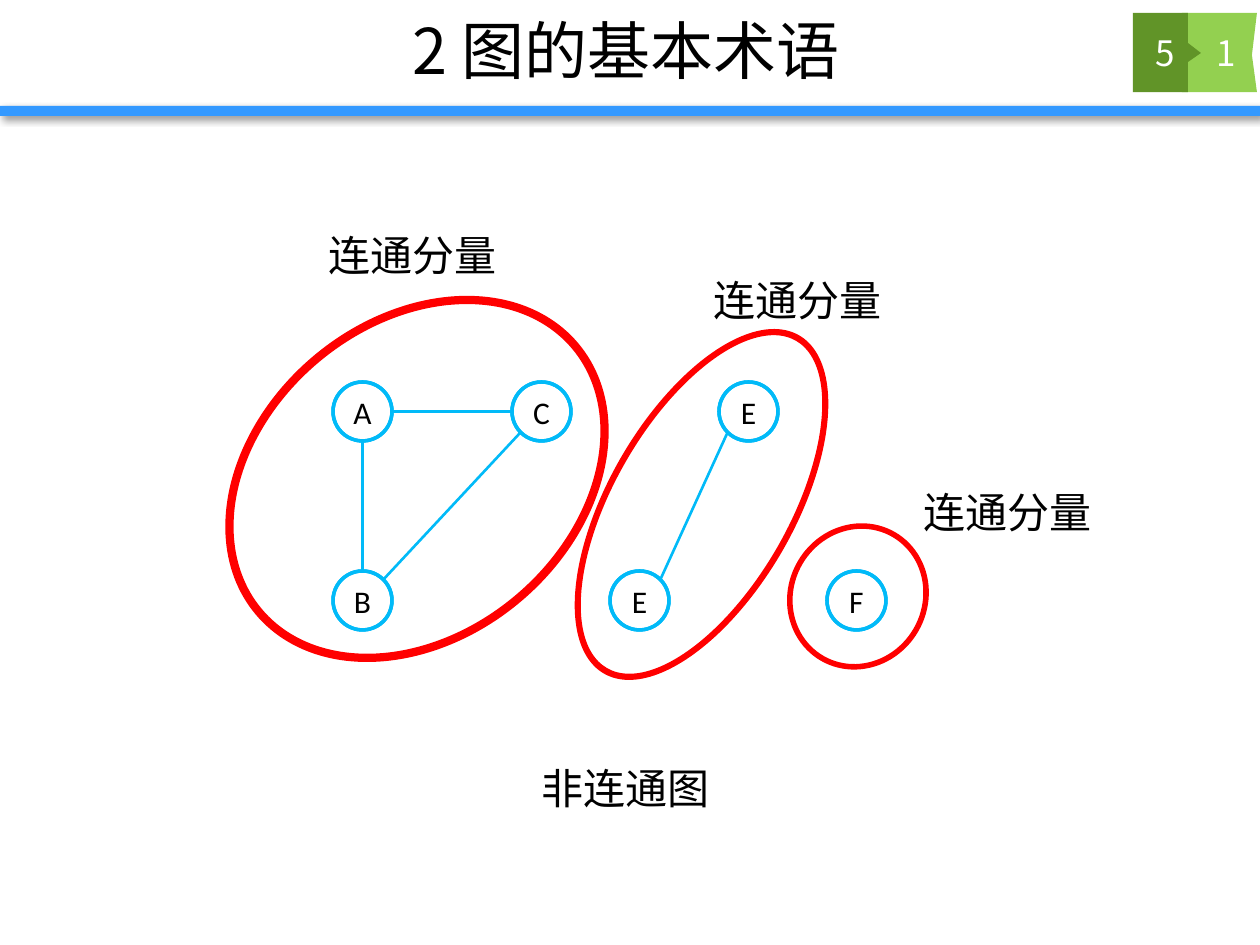
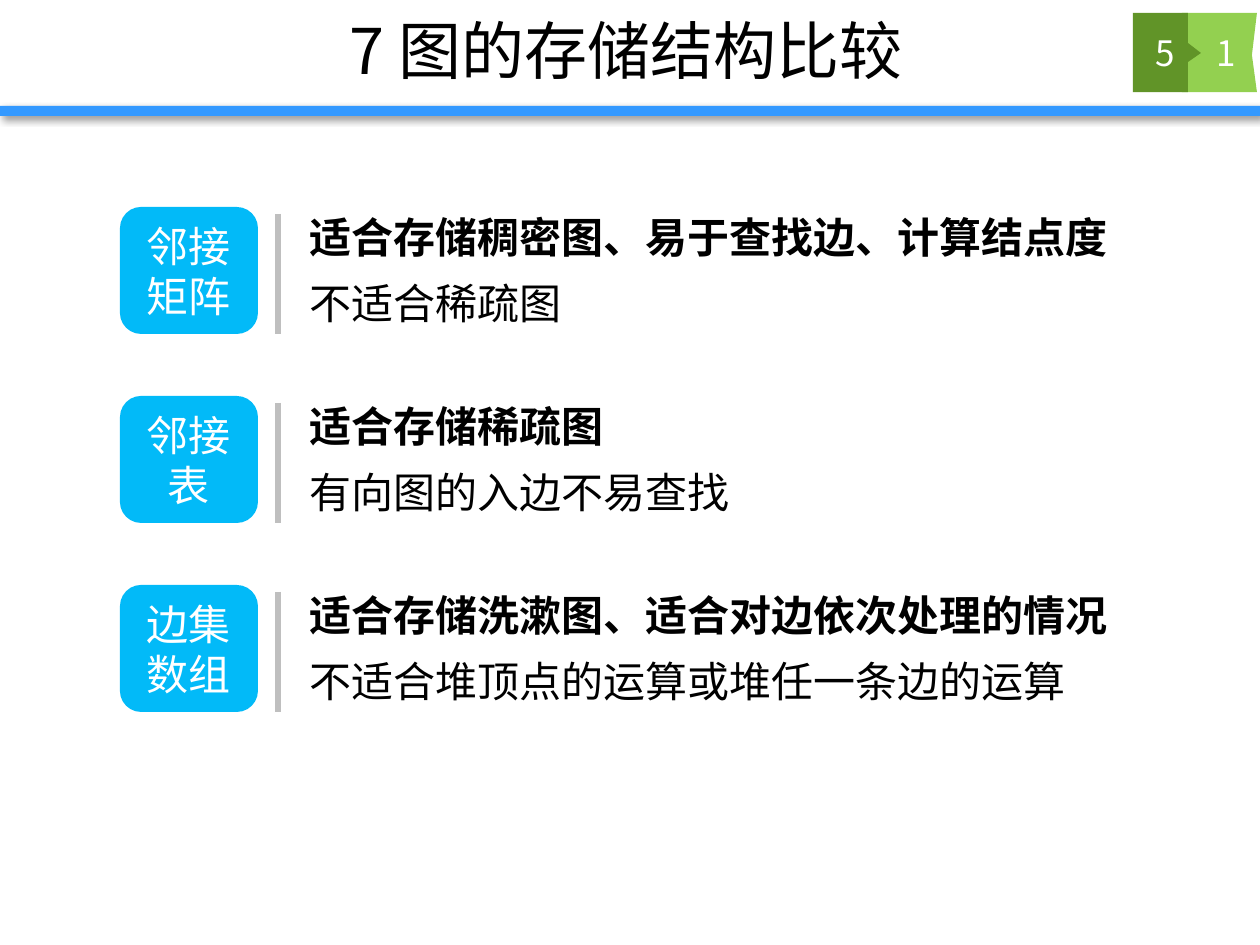
from math import cos, radians, sin

from lxml.etree import SubElement
from pptx import Presentation
from pptx.dml.color import RGBColor
from pptx.enum.shapes import MSO_CONNECTOR, MSO_SHAPE
from pptx.enum.text import MSO_ANCHOR, PP_ALIGN
from pptx.oxml.ns import qn
from pptx.util import Pt

SCALE = 914400 // 126
FONT = "Noto Sans CJK SC"
NODE_FONT = "Calibri"
COLORS = {
    "band": "3399FF",
    "shadow": "000000",
    "badge_light": "93D050",
    "badge_dark": "619428",
    "node": "01BAF8",
    "component": "FF0000",
    "tile": "02BAF8",
    "divider": "BFBFBF",
    "text": "000000",
    "inverse": "FFFFFF",
}

NODE_SIZE = 59
LABEL_SIZE = (195, 63)
NODES = {
    "A": ("A", 113, 162),
    "B": ("B", 113, 351),
    "C": ("C", 292, 162),
    "E lower": ("E", 390, 351),
    "E upper": ("E", 499, 162),
    "F": ("F", 607, 351),
}
EDGES = [
    ("A", 90, "B", 270),
    ("A", 0, "C", 180),
    ("C", 135, "B", 315),
    ("E upper", 135, "E lower", 315),
]
COMPONENTS = [
    ((38, 50, 318, 418), 50, (96, 3)),
    ((390, 91, 183, 387), 30, (481, 48)),
    ((570, 304, 136, 145), 30, (691, 260)),
]
STORAGE_ROWS = [
    ("邻接矩阵", "适合存储稠密图、易于查找边、计算结点度", "不适合稀疏图", 427),
    ("邻接表", "适合存储稀疏图", "有向图的入边不易查找", 590),
    ("边集数组", "适合存储洗漱图、适合对边依次处理的情况", "不适合堆顶点的运算或堆任一条边的运算", 833),
]
ROW_PITCH = 189


def px(*lengths):
    return [round(length * SCALE) for length in lengths]


def color(name):
    return RGBColor.from_string(COLORS[name])


def write(shape, text, size, color_name="text", align=PP_ALIGN.CENTER,
          anchor=MSO_ANCHOR.MIDDLE, bold=False, wrap=True, spacing=None, font_name=FONT):
    frame = shape.text_frame
    frame.word_wrap = wrap
    frame.vertical_anchor = anchor
    paragraph = frame.paragraphs[0]
    paragraph.text = text
    paragraph.alignment = align
    if spacing:
        paragraph.line_spacing = spacing
    font = paragraph.font
    font.name = font_name
    font.size = Pt(size)
    font.bold = bold
    font.color.rgb = color(color_name)
    properties = paragraph._p.pPr.find(qn("a:defRPr"))
    SubElement(properties, qn("a:ea"), typeface=font_name)


def add_text(slide, box, text, size, **style):
    write(slide.shapes.add_textbox(*px(*box)), text, size, **style)


def add_left_text(slide, box, text, **style):
    add_text(slide, box, text, 24, align=PP_ALIGN.LEFT, anchor=MSO_ANCHOR.TOP, **style)


def paint(shape, fill, line=None):
    shape.shadow.inherit = False
    shape.fill.solid()
    shape.fill.fore_color.rgb = color(fill)
    if line:
        shape.line.color.rgb = color(line)
        shape.line.width = Pt(2)
    else:
        shape.line.fill.background()


def add_shape(slide, kind, box, fill, line=None):
    shape = slide.shapes.add_shape(kind, *px(*box))
    paint(shape, fill, line)
    return shape


def add_line(slide, start, end, color_name, width):
    connector = slide.shapes.add_connector(MSO_CONNECTOR.STRAIGHT, *px(*start, *end))
    connector.line.color.rgb = color(color_name)
    connector.line.width = Pt(width)
    SubElement(connector._element.spPr, qn("a:effectLst"))


def add_outline(slide, left, top, points, fill):
    placed = [(left + x, top + y) for x, y in points]
    builder = slide.shapes.build_freeform(*placed[0], scale=SCALE)
    builder.add_line_segments(placed[1:], close=True)
    paint(builder.convert_to_shape(), fill)


def add_band(slide, box):
    band = add_shape(slide, MSO_SHAPE.RECTANGLE, box, "band")
    effects = band._element.spPr.find(qn("a:effectLst"))
    shadow = SubElement(effects, qn("a:outerShdw"), blurRad=str(Pt(4)), dist=str(Pt(3)),
                        dir="2700000", algn="tl", rotWithShape="0")
    shade = SubElement(shadow, qn("a:srgbClr"), val=COLORS["shadow"])
    SubElement(shade, qn("a:alpha"), val="40000")


def add_badge(slide, left, top):
    add_outline(slide, left, top,
                [(49, 0), (124, 0), (119, 42), (124, 79), (49, 79)], "badge_light")
    add_outline(slide, left, top,
                [(0, 0), (55, 0), (55, 30), (68, 40), (55, 49), (55, 79), (0, 79)], "badge_dark")
    for number, offset in (("1", 54), ("5", -7)):
        add_text(slide, (left + offset, top, 78, 79), number, 20, color_name="inverse")


def add_titled_slide(presentation, title):
    slide = presentation.slides.add_slide(presentation.slide_layouts[6])
    add_band(slide, (0, 106, 1260, 10))
    add_badge(slide, 1133, 13)
    add_text(slide, (123, 1, 1007, 97), title, 36)
    return slide


def rim_point(left, top, node, angle):
    radius = NODE_SIZE / 2
    _, x, y = NODES[node]
    return (left + x + radius + radius * cos(radians(angle)),
            top + y + radius + radius * sin(radians(angle)))


def add_graph(slide, left, top):
    for letter, x, y in NODES.values():
        box = (left + x, top + y, NODE_SIZE, NODE_SIZE)
        node = add_shape(slide, MSO_SHAPE.DONUT, box, "badge_dark", "node")
        node.adjustments[0] = 0
        frame = node.text_frame
        frame.margin_left = frame.margin_right = frame.margin_top = frame.margin_bottom = 0
        write(node, letter, 18, wrap=False, font_name=NODE_FONT)
    for source, source_angle, target, target_angle in EDGES:
        add_line(slide, rim_point(left, top, source, source_angle),
                 rim_point(left, top, target, target_angle), "node", 1.5)
    add_left_text(slide, (left + 309, top + 536, *LABEL_SIZE), "非连通图", wrap=False)


def add_components(slide, left, top):
    for (x, y, width, height), rotation, (label_x, label_y) in COMPONENTS:
        ring = add_shape(slide, MSO_SHAPE.DONUT, (left + x, top + y, width, height),
                         "component", "component")
        ring.adjustments[0] = 0.015
        ring.rotation = rotation
        add_left_text(slide, (left + label_x, top + label_y, *LABEL_SIZE),
                      "连通分量", wrap=False)


def add_storage_row(slide, left, top, name, strength, weakness, weakness_width):
    tile = add_shape(slide, MSO_SHAPE.ROUNDED_RECTANGLE, (left, top + 12, 138, 127), "tile")
    write(tile, name, 24, color_name="inverse")
    add_left_text(slide, (left + 177, top, 893, 70), strength, bold=True, spacing=1.2)
    add_line(slide, (left + 158, top + 19), (left + 158, top + 139), "divider", 3)
    add_left_text(slide, (left + 177, top + 66, weakness_width, 70), weakness, spacing=1.2)


def add_terms_slide(presentation):
    slide = add_titled_slide(presentation, "2 图的基本术语")
    add_graph(slide, 220, 220)
    add_components(slide, 220, 220)


def add_storage_slide(presentation):
    slide = add_titled_slide(presentation, "7 图的存储结构比较")
    for index, row in enumerate(STORAGE_ROWS):
        add_storage_row(slide, 120, 195 + index * ROW_PITCH, *row)


def main():
    presentation = Presentation()
    presentation.slide_width, presentation.slide_height = px(1260, 945)
    add_terms_slide(presentation)
    add_storage_slide(presentation)
    presentation.save("out.pptx")


if __name__ == "__main__":
    main()
